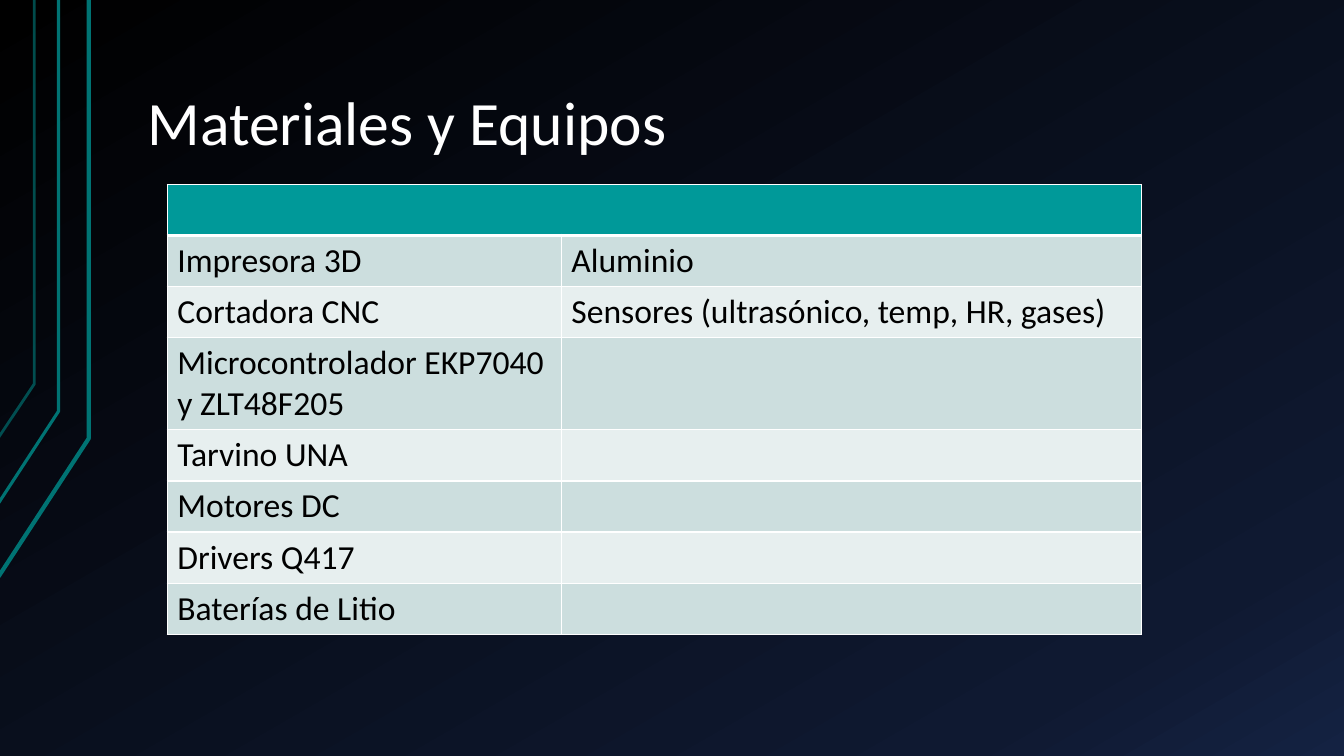
from copy import deepcopy
from dataclasses import dataclass

from lxml import etree
from pptx import Presentation
from pptx.dml.color import RGBColor
from pptx.enum import text
from pptx.oxml import ns
from pptx.util import Pt


@dataclass(frozen=True)
class Theme:
    font: str = "Calibri"
    title_size: float = 44
    cell_size: float = 24
    white: str = "FFFFFF"
    black: str = "000000"
    header: str = "009999"
    bands: tuple = ("CCDEDE", "E7EFEF")
    ornament: str = "007373"
    backdrop: tuple = ((0, "000000"), (0.85, "0F1931"), (1, "142242"))


THEME = Theme()

MATERIALS = [
    ("Impresora 3D", "Aluminio"),
    ("Cortadora CNC", "Sensores (ultrasónico, temp, HR, gases)"),
    ("Microcontrolador EKP7040 y ZLT48F205", ""),
    ("Tarvino UNA", ""),
    ("Motores DC", ""),
    ("Drivers Q417", ""),
    ("Baterías de Litio", ""),
]
COLUMN_WIDTHS = (281.5, 414.5)
ROW_HEIGHT = 36.4
TALL_ROW, TALL_HEIGHT = 3, 65.7

# x of the upright, y of its bend, y at the left edge, width, opacity in %
ORNAMENTS = [
    (63.4, 313.2, 411.8, 3, 100),
    (41.8, 293.8, 359.3, 2.25, 100),
    (24.5, 274.3, 312.5, 2, 65),
]


def write(tf, content, size, color, spacing=None):
    p = tf.paragraphs[0]
    p.alignment = text.PP_ALIGN.LEFT
    p.line_spacing = spacing
    r = p.add_run()
    r.text = content
    r.font.name = THEME.font
    r.font.size = Pt(size)
    r.font.bold = False
    r.font.color.rgb = RGBColor.from_string(color)


def paint_background(slide):
    fill = slide.background.fill
    fill.gradient()
    fill.gradient_angle = 300
    last = slide.element.find(".//" + ns.qn("a:gsLst"))[-1]
    last.addprevious(deepcopy(last))
    for stop, (position, color) in zip(fill.gradient_stops, THEME.backdrop):
        stop.position = position
        stop.color.rgb = RGBColor.from_string(color)


def add_ornament(slide, x, bend, end, width, opacity):
    builder = slide.shapes.build_freeform(Pt(-1), Pt(end))
    builder.add_line_segments([(Pt(x), Pt(bend)), (Pt(x), 0)], close=False)
    sp = builder.convert_to_shape()
    sp.shadow.inherit = False
    sp.fill.background()
    sp.line.width = Pt(width)
    sp.line.color.rgb = RGBColor.from_string(THEME.ornament)
    if opacity < 100:
        color = sp.line._get_or_add_ln().find(".//" + ns.qn("a:srgbClr"))
        etree.SubElement(color, ns.qn("a:alpha"), val=str(opacity * 1000))


def add_title(slide, content):
    title = slide.shapes.title
    title.left, title.top, title.width, title.height = map(Pt, (96, 21.6, 816, 96.5))
    tf = title.text_frame
    tf.auto_size = text.MSO_AUTO_SIZE.NONE
    tf.word_wrap = True
    tf.vertical_anchor = text.MSO_ANCHOR.BOTTOM
    tf.margin_left = tf.margin_right = Pt(9.4)
    tf.margin_top = tf.margin_bottom = Pt(5)
    write(tf, content, THEME.title_size, THEME.white, spacing=0.9)


def style_cell(cell, fill, top=1, bottom=1):
    """Give the cell white borders, then its fill, in the order the format needs."""
    tc_pr = cell._tc.get_or_add_tcPr()
    for side, width in (("L", 1), ("R", 1), ("T", top), ("B", bottom)):
        ln = etree.SubElement(tc_pr, ns.qn("a:ln" + side), w=str(Pt(width)))
        solid = etree.SubElement(ln, ns.qn("a:solidFill"))
        etree.SubElement(solid, ns.qn("a:srgbClr"), val=THEME.white)
    cell.fill.solid()
    cell.fill.fore_color.rgb = RGBColor.from_string(fill)


def add_materials_table(slide):
    heights = [ROW_HEIGHT] * (len(MATERIALS) + 1)
    heights[TALL_ROW] = TALL_HEIGHT
    frame = slide.shapes.add_table(
        len(heights), len(COLUMN_WIDTHS),
        Pt(119.5), Pt(131.8), Pt(sum(COLUMN_WIDTHS)), Pt(sum(heights)))
    table = frame.table
    for column, width in zip(table.columns, COLUMN_WIDTHS):
        column.width = Pt(width)
    for row, height in zip(table.rows, heights):
        row.height = Pt(height)
    for cell in table.rows[0].cells:
        style_cell(cell, THEME.header, bottom=3)
    table.cell(0, 0).merge(table.cell(0, 1))
    for i, entries in enumerate(MATERIALS):
        for j, entry in enumerate(entries):
            cell = table.cell(i + 1, j)
            style_cell(cell, THEME.bands[i % 2], top=3 if i == 0 else 1)
            if entry:
                write(cell.text_frame, entry, THEME.cell_size, THEME.black)


def main():
    prs = Presentation()
    prs.slide_width, prs.slide_height = Pt(960), Pt(540)
    slide = prs.slides.add_slide(prs.slide_layouts[5])
    paint_background(slide)
    for ornament in ORNAMENTS:
        add_ornament(slide, *ornament)
    add_title(slide, "Materiales y Equipos")
    add_materials_table(slide)
    prs.save("out.pptx")


if __name__ == "__main__":
    main()
